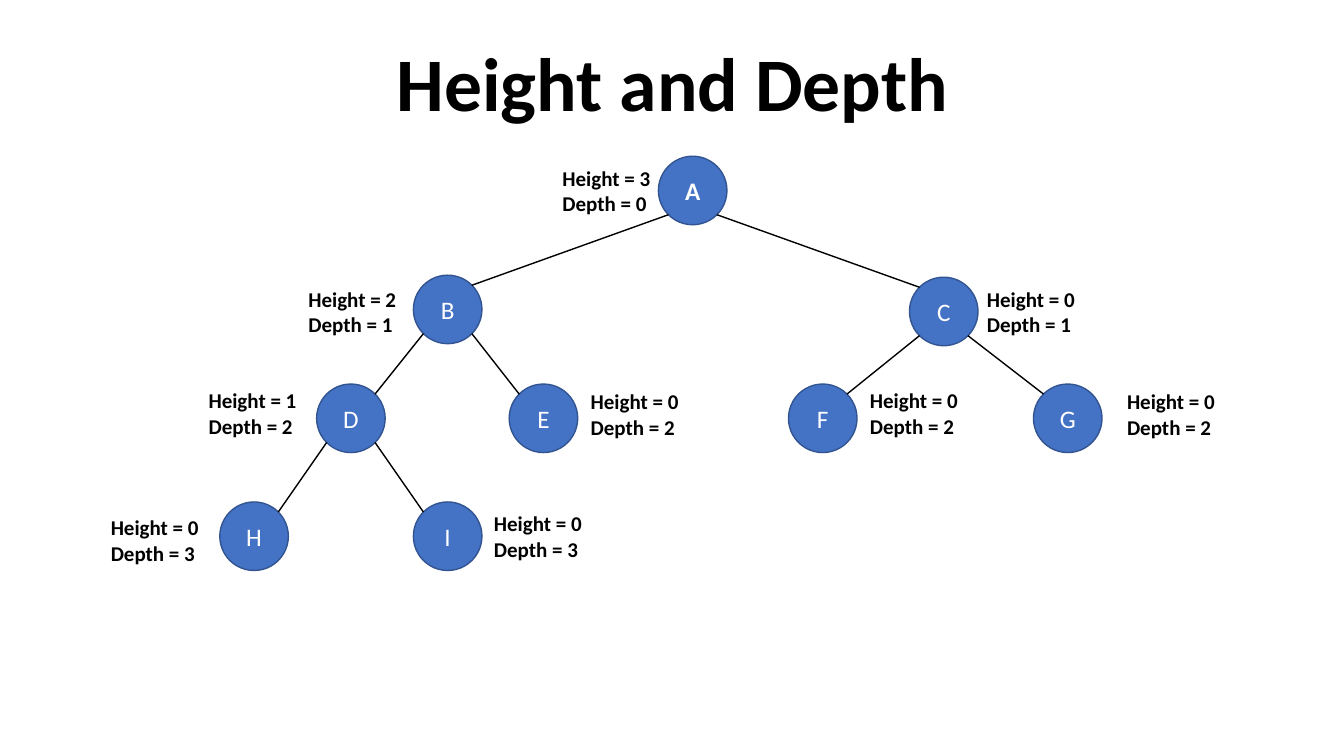
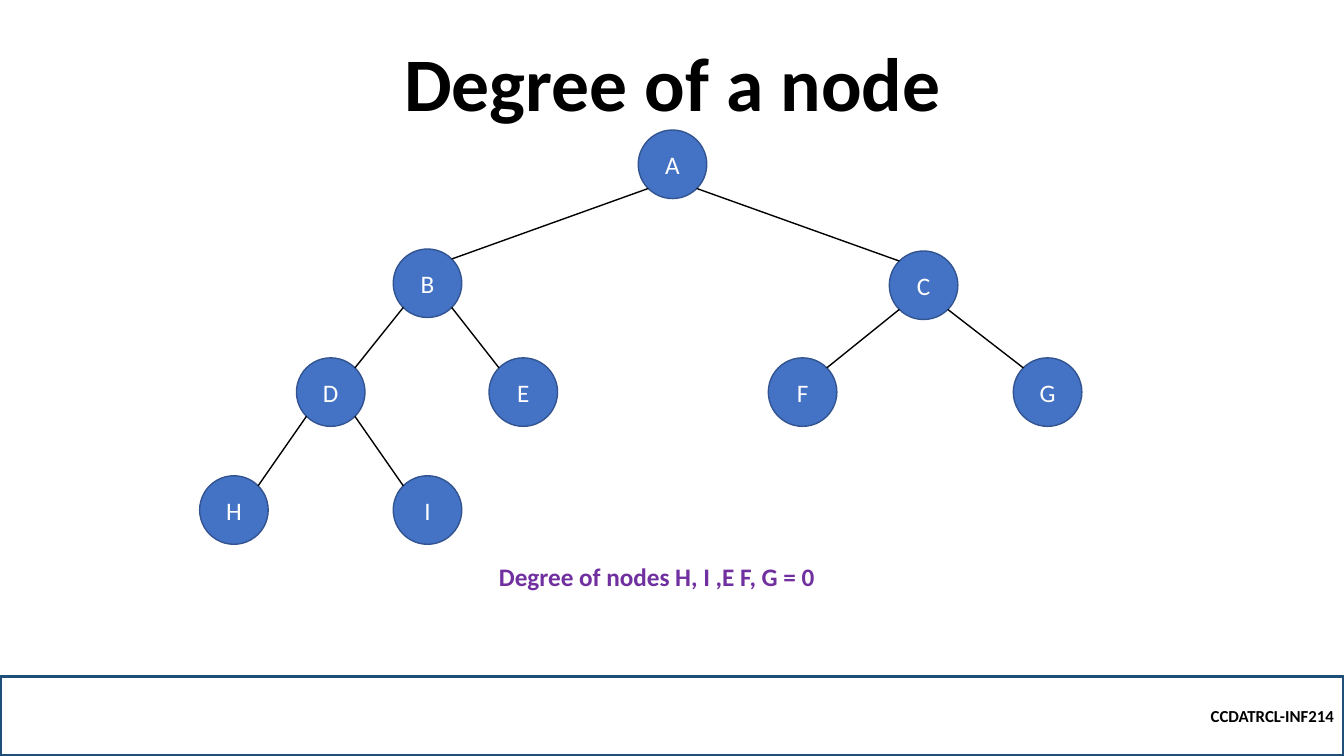
import dataclasses

import pptx
import pptx.dml.color
import pptx.enum.shapes
import pptx.enum.text
import pptx.oxml.xmlchemy
import pptx.oxml.ns
import pptx.util
from lxml import etree

Inches = pptx.util.Inches
Align = pptx.enum.text.PP_ALIGN
Anchor = pptx.enum.text.MSO_ANCHOR
AutoSize = pptx.enum.text.MSO_AUTO_SIZE
Shape = pptx.enum.shapes.MSO_SHAPE


@dataclasses.dataclass(frozen=True)
class Theme:
    font: str = "Calibri"
    black: str = "000000"
    white: str = "FFFFFF"
    node_fill: str = "4472C4"
    node_line: str = "325491"
    footer_line: str = "1F4E79"
    accent: str = "7030A0"
    title_size: float = 54
    node_size: float = 18
    label_size: float = 15
    note_size: float = 18
    footer_size: float = 12
    thin: float = 1
    thick: float = 2.25


THEME = Theme()
SLIDE_WIDTH, SLIDE_HEIGHT = 13.33, 7.5
FOOTER_HEIGHT = 0.79
NODE_DIAMETER = 0.68
EDGE_INSET = 0.1  # from a node's bounding box to its outline on the diagonal

NODES = {
    "A": (6.33, 1.29),
    "B": (3.9, 2.47), "C": (8.82, 2.49),
    "D": (2.94, 3.55), "E": (4.85, 3.55), "F": (7.62, 3.55), "G": (10.05, 3.55),
    "H": (1.98, 4.72), "I": (3.9, 4.72),
}
CHILDREN = {"A": "BC", "B": "DE", "C": "FG", "D": "HI"}

# left, top, width, height value, depth value
LABELS = [
    (5.48, 1.59, 1.15, 3, 0),
    (2.96, 2.79, 1.11, 2, 1),
    (1.97, 3.8, 1.15, 1, 2),
    (1, 5.06, 1.15, 0, 3),
    (9.69, 2.79, 1.14, 0, 1),
    (11.08, 3.81, 1.26, 0, 2),
    (8.53, 3.8, 1.24, 0, 2),
    (5.76, 3.81, 1.2, 0, 2),
    (4.8, 5.02, 1.15, 0, 3),
]


def rgb(color):
    return pptx.dml.color.RGBColor.from_string(color)


def write_text(shape, lines, size, color, bold=True, align=Align.LEFT,
               line_spacing=None, **frame_format):
    """Fill a shape with one paragraph per line."""
    frame = shape.text_frame
    for name, value in {"word_wrap": True, **frame_format}.items():
        setattr(frame, name, value)
    frame.text = "\n".join(lines)
    font_format = {"name": THEME.font, "size": pptx.util.Pt(size), "bold": bold}
    for paragraph in frame.paragraphs:
        paragraph.alignment = align
        paragraph.line_spacing = line_spacing
        for name, value in font_format.items():
            setattr(paragraph.font, name, value)
        paragraph.font.color.rgb = rgb(color)


def add_text(slide, box, lines, size, color=THEME.black, **text_format):
    textbox = slide.shapes.add_textbox(*map(Inches, box))
    write_text(textbox, lines, size, color, **text_format)


def add_outlined_shape(slide, kind, box, line_color, line_width, fill=None):
    shape = slide.shapes.add_shape(kind, *map(Inches, box))
    shape.shadow.inherit = False
    if fill:
        shape.fill.solid()
        shape.fill.fore_color.rgb = rgb(fill)
    else:
        shape.fill.background()
    shape.line.color.rgb = rgb(line_color)
    shape.line.width = pptx.util.Pt(line_width)
    return shape


def add_title(slide, title):
    add_text(slide, (1.67, 0.53, 10, 0.79), [title], THEME.title_size,
             align=Align.CENTER, line_spacing=0.9, vertical_anchor=Anchor.BOTTOM)


def add_footer(slide, course):
    box = (0, SLIDE_HEIGHT - FOOTER_HEIGHT, SLIDE_WIDTH, FOOTER_HEIGHT)
    footer = add_outlined_shape(slide, Shape.RECTANGLE, box,
                                THEME.footer_line, THEME.thick)
    write_text(footer, [course], THEME.footer_size, THEME.black,
               align=Align.RIGHT, vertical_anchor=Anchor.MIDDLE)


def add_node(slide, name, position, bold):
    node = add_outlined_shape(slide, Shape.OVAL,
                              (*position, NODE_DIAMETER, NODE_DIAMETER),
                              THEME.node_line, THEME.thin, THEME.node_fill)
    write_text(node, [name], THEME.node_size, THEME.white, bold=bold,
               align=Align.CENTER, vertical_anchor=Anchor.MIDDLE)


def add_edge(slide, parent, child):
    """Join a parent's lower diagonal point to its child's upper one."""
    near, far = EDGE_INSET, NODE_DIAMETER - EDGE_INSET
    child_is_left = child[0] < parent[0]
    parent_side, child_side = (near, far) if child_is_left else (far, near)
    ends = (parent[0] + parent_side, parent[1] + far,
            child[0] + child_side, child[1] + near)
    edge = slide.shapes.add_connector(
        pptx.enum.shapes.MSO_CONNECTOR.STRAIGHT, *map(Inches, ends))
    edge.line.color.rgb = rgb(THEME.black)
    edge.line.width = pptx.util.Pt(THEME.thin)
    etree.SubElement(edge._element.spPr, pptx.oxml.ns.qn("a:effectLst"))


def add_tree(slide, shift=(0, 0), bold_nodes=""):
    positions = {name: (left + shift[0], top + shift[1])
                 for name, (left, top) in NODES.items()}
    for name, position in positions.items():
        add_node(slide, name, position, name in bold_nodes)
    for parent, children in CHILDREN.items():
        for child in children:
            add_edge(slide, positions[parent], positions[child])


def add_slide(presentation, title):
    slide = presentation.slides.add_slide(presentation.slide_layouts[6])
    add_title(slide, title)
    return slide


def add_height_and_depth_slide(presentation):
    slide = add_slide(presentation, "Height and Depth")
    add_tree(slide, shift=(0.2, 0.26), bold_nodes="A")
    for left, top, width, height, depth in LABELS:
        add_text(slide, (left, top, width, 0.61),
                 [f"Height = {height}", f"Depth = {depth}"],
                 THEME.label_size, auto_size=AutoSize.SHAPE_TO_FIT_TEXT)


def add_degree_slide(presentation):
    slide = add_slide(presentation, "Degree of a node")
    add_footer(slide, "CCDATRCL-INF214")
    add_tree(slide)
    add_text(slide, (4.85, 5.52, 3.39, 0.4), ["Degree of nodes H, I ,E F, G = 0"],
             THEME.note_size, THEME.accent, auto_size=AutoSize.SHAPE_TO_FIT_TEXT)


def main():
    presentation = pptx.Presentation()
    presentation.slide_width = Inches(SLIDE_WIDTH)
    presentation.slide_height = Inches(SLIDE_HEIGHT)
    add_height_and_depth_slide(presentation)
    add_degree_slide(presentation)
    presentation.save("out.pptx")


if __name__ == "__main__":
    main()
